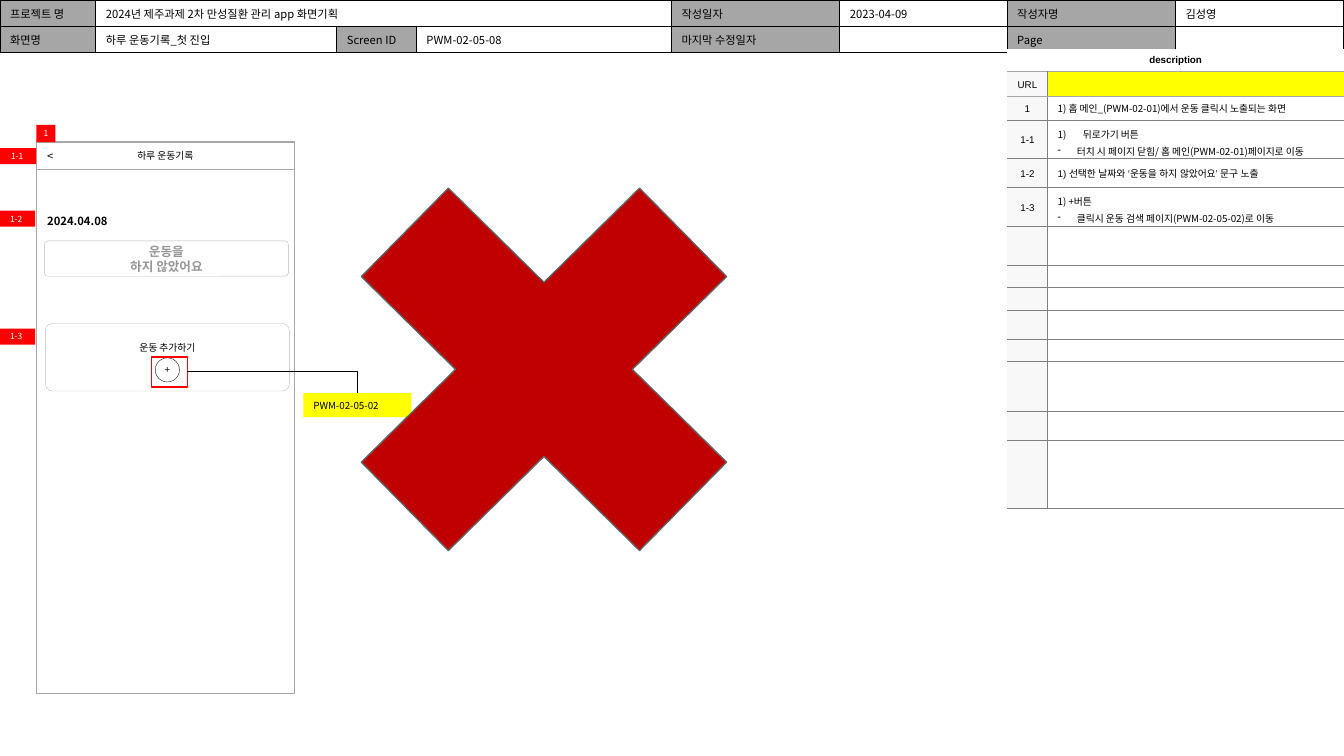
from dataclasses import dataclass
from typing import Optional

from lxml import etree
from pptx import Presentation
from pptx import util as u
from pptx.dml.color import RGBColor
from pptx.enum import shapes, text
from pptx.oxml import ns

COLORS = {
    "black": "000000", "white": "FFFFFF", "header": "A6A6A6", "rule": "808080",
    "label": "F8F8F8", "yellow": "FFFF00", "red": "FF0000", "card": "BABABA",
    "muted": "969696", "cross": "C00000", "cross_line": "616161",
}
NOTO, ARIAL = "Noto Sans CJK KR", "Arial"
NO_STYLE = "{2D5ABB26-0587-4C30-8999-92F81FD0307C}"
LEFT, CENTER, JUSTIFY = text.PP_ALIGN.LEFT, text.PP_ALIGN.CENTER, text.PP_ALIGN.JUSTIFY
TOP, MIDDLE = text.MSO_ANCHOR.TOP, text.MSO_ANCHOR.MIDDLE
KIND = shapes.MSO_SHAPE


@dataclass
class Style:
    size: float = 7
    color: str = "black"
    bold: bool = False
    font: str = NOTO
    align: int = CENTER
    spacing: Optional[float] = None


@dataclass
class Line:
    words: str
    bullet: Optional[str] = None
    indent: float = 0


@dataclass
class Box:
    at: tuple
    kind: int = KIND.RECTANGLE
    fill: Optional[str] = None
    line: Optional[str] = None
    width: float = 0.25
    words: str = ""
    style: Optional[Style] = None
    inset: tuple = (0, 0)
    anchor: int = MIDDLE


@dataclass
class Row:
    height: float
    label: str = ""
    lines: tuple = ()
    align: int = JUSTIFY
    fill: Optional[str] = None
    font: str = NOTO


def rgb(name: str) -> RGBColor:
    return RGBColor.from_string(COLORS[name])


def sub(parent, tag: str, **attrs):
    return etree.SubElement(parent, ns.qn(tag), **attrs)


def paint(fill, name: Optional[str]) -> None:
    if name:
        fill.solid()
        fill.fore_color.rgb = rgb(name)
    else:
        fill.background()


def write(p, line: Line, st: Style) -> None:
    p.alignment = st.align
    if st.spacing:
        p.line_spacing = st.spacing
    if line.bullet:
        pPr = p._p.get_or_add_pPr()
        pPr.set("marL", str(u.Inches(line.indent)))
        pPr.set("indent", str(-u.Inches(line.indent)))
        if line.bullet == "1)":
            sub(pPr, "a:buAutoNum", type="arabicParenR")
        else:
            sub(pPr, "a:buChar", char=line.bullet)
    for i, part in enumerate(line.words.split("\n")):
        if i:
            p.add_line_break()
        r = p.add_run()
        r.text = part
        r.font.size, r.font.bold = u.Pt(st.size), st.bold
        r.font.color.rgb = rgb(st.color)
        r.font.name = st.font
        sub(r._r.get_or_add_rPr(), "a:ea", typeface=st.font)


def draw_box(s, b: Box) -> None:
    sp = s.shapes.add_shape(b.kind, *map(u.Inches, b.at))
    sp.shadow.inherit = False
    paint(sp.fill, b.fill)
    paint(sp.line.fill, b.line)
    if b.line:
        sp.line.width = u.Pt(b.width)
    if b.kind == KIND.ROUNDED_RECTANGLE:
        sp.adjustments[0] = 0.104
    if b.words:
        tf = sp.text_frame
        tf.word_wrap = True
        tf.vertical_anchor = b.anchor
        tf.margin_left = tf.margin_right = u.Inches(b.inset[0])
        tf.margin_top, tf.margin_bottom = u.Inches(b.inset[1]), 0
        write(tf.paragraphs[0], Line(b.words), b.style or Style())


def draw_text(s, at: tuple, words: str, st: Style) -> None:
    tf = s.shapes.add_textbox(*map(u.Inches, at)).text_frame
    tf.word_wrap = True
    write(tf.paragraphs[0], Line(words), st)


def add_grid(s, left: float, top: float, cols: list, rows: list):
    size = map(u.Inches, (left, top, sum(cols), sum(rows)))
    tbl = s.shapes.add_table(len(rows), len(cols), *size).table
    tbl.first_row = tbl.horz_banding = False
    tbl._tbl.tblPr.find(ns.qn("a:tableStyleId")).text = NO_STYLE
    for col, w in zip(tbl.columns, cols):
        col.width = u.Inches(w)
    for row, h in zip(tbl.rows, rows):
        row.height = u.Inches(h)
    return tbl


def fill_cell(cell, lines: tuple, st: Style, fill: Optional[str], edges: dict,
              width: float, margins: tuple) -> None:
    tcPr = cell._tc.get_or_add_tcPr()
    for side in "LRTB":
        if side in edges:
            ln = sub(tcPr, f"a:ln{side}", w=str(u.Pt(width)))
            sub(sub(ln, "a:solidFill"), "a:srgbClr", val=COLORS[edges[side]])
    paint(cell.fill, fill)
    cell.vertical_anchor = MIDDLE
    cell.margin_top, cell.margin_bottom = map(u.Inches, margins)
    tf = cell.text_frame
    for i, line in enumerate(lines):
        write(tf.add_paragraph() if i else tf.paragraphs[0], line, st)
    if not lines:
        sub(tf.paragraphs[0]._p, "a:endParaRPr", sz=str(int(st.size * 100)))


def draw_header(s) -> None:
    rows = [
        ["프로젝트 명", "2024년 제주과제 2차 만성질환 관리 app 화면기획", "", "",
         "작성일자", "2023-04-09", "작성자명", "김성영"],
        ["화면명", "하루 운동기록_첫 진입", "Screen ID", "PWM-02-05-08",
         "마지막 수정일자", "", "Page", ""],
    ]
    tbl = add_grid(s, 0, 0, [0.95, 2.39, 0.79, 2.53, 1.67, 1.66, 1.67, 1.67], [0.26] * 2)
    tbl.cell(0, 1).merge(tbl.cell(0, 3))
    for i, row in enumerate(rows):
        for j, words in enumerate(row):
            is_title = j % 2 == 0 and (i, j) != (0, 2)
            fill_cell(tbl.cell(i, j), (Line(words),) if words else (), Style(8, align=LEFT),
                      "header" if is_title else None, dict.fromkeys("LRTB", "black"),
                      1, (0.05, 0.05))


def draw_description(s) -> None:
    rows = [
        Row(0.24, "URL", fill="yellow"),
        Row(0.24, "1", (Line("1) 홈 메인_(PWM-02-01)에서 운동 클릭시 노출되는 화면"),), LEFT),
        Row(0.38, "1-1", (Line("뒤로가기 버튼", "1)", 0.25),
                          Line("터치 시 페이지 닫힘/ 홈 메인(PWM-02-01)페이지로 이동", "-", 0.19))),
        Row(0.29, "1-2", (Line("1) 선택한 날짜와 ‘운동을 하지 않았어요’ 문구 노출"),), font=ARIAL),
        Row(0.38, "1-3", (Line("1) +버튼"),
                          Line("클릭시 운동 검색 페이지(PWM-02-05-02)로 이동", "-", 0.19))),
    ] + [Row(h) for h in (0.39, 0.22, 0.23, 0.29, 0.21, 0.5, 0.29, 0.67)]
    tbl = add_grid(s, 9.99, 0.49, [0.4, 2.94], [0.22] + [row.height for row in rows])
    tbl.cell(0, 0).merge(tbl.cell(0, 1))
    fill_cell(tbl.cell(0, 0), (Line("description"),), Style(bold=True, font=ARIAL),
              "white", {"B": "header"}, 0.25, (0, 0))
    for i, row in enumerate(rows, 1):
        edges = {"T": "header" if i < 3 else "rule", "B": "header" if i == 1 else "rule"}
        fill_cell(tbl.cell(i, 0), (Line(row.label),) if row.label else (),
                  Style(font=ARIAL, spacing=1.2), "label", edges | {"R": "rule"}, 0.25, (0, 0))
        fill_cell(tbl.cell(i, 1), row.lines,
                  Style(font=row.font, align=row.align,
                        spacing=1.2 if row.align == JUSTIFY else None),
                  row.fill, edges | {"L": "rule"}, 0.25, (0.04 if len(row.lines) > 1 else 0, 0))


def draw_link(s) -> None:
    cn = s.shapes.add_connector(shapes.MSO_CONNECTOR.ELBOW,
                                *map(u.Inches, (1.85, 3.68, 3.54, 3.9)))
    cn.line.color.rgb = rgb("black")
    cn.line.width = u.Pt(0.5)
    spPr = cn._element.spPr
    spPr.find(ns.qn("a:prstGeom")).set("prst", "bentConnector2")
    sub(spPr, "a:effectLst")


def main() -> None:
    prs = Presentation()
    prs.slide_width, prs.slide_height = u.Inches(13.33), u.Inches(7.5)
    s = prs.slides.add_slide(prs.slide_layouts[6])
    tag = Style(6, "white")
    card = KIND.ROUNDED_RECTANGLE
    draw_header(s)
    draw_box(s, Box((0.36, 1.4, 2.56, 5.48), line="header"))
    draw_box(s, Box((0.36, 1.41, 2.56, 0.27), line="header", words="하루 운동기록"))
    draw_text(s, (0.37, 1.43, 0.26, 0.24), "<", Style(8, align=LEFT))
    draw_text(s, (0.37, 2.08, 0.88, 0.24), "2024.04.08", Style(8, bold=True, align=LEFT))
    draw_box(s, Box((0.36, 1.24, 0.19, 0.17), fill="red", words="1", style=tag))
    for n, (left, top) in enumerate([(-0.02, 1.47), (-0.03, 2.09), (-0.03, 3.26)], 1):
        draw_box(s, Box((left, top, 0.38, 0.16), fill="red", words=f"1-{n}", style=tag))
    draw_description(s)
    for box in (
        Box((0.44, 2.39, 2.42, 0.35), card, line="card", words="운동을\n하지 않았어요",
            style=Style(9, "muted", True)),
        Box((0.45, 3.21, 2.42, 0.67), card, line="card", words="운동 추가하기",
            inset=(0, 0.16), anchor=TOP),
        Box((1.54, 3.55, 0.24, 0.24), KIND.OVAL, line="black", words="+"),
        Box((1.5, 3.54, 0.36, 0.3), line="red", width=1),
        Box((3.01, 3.9, 1.07, 0.24), fill="yellow", words="PWM-02-05-02",
            style=Style(align=LEFT), inset=(0.1, 0)),
    ):
        draw_box(s, box)
    draw_link(s)
    draw_box(s, Box((2.74, 1.05, 5.31, 5.23), KIND.MATH_MULTIPLY, "cross", "cross_line", 1))
    prs.save("out.pptx")


if __name__ == "__main__":
    main()
